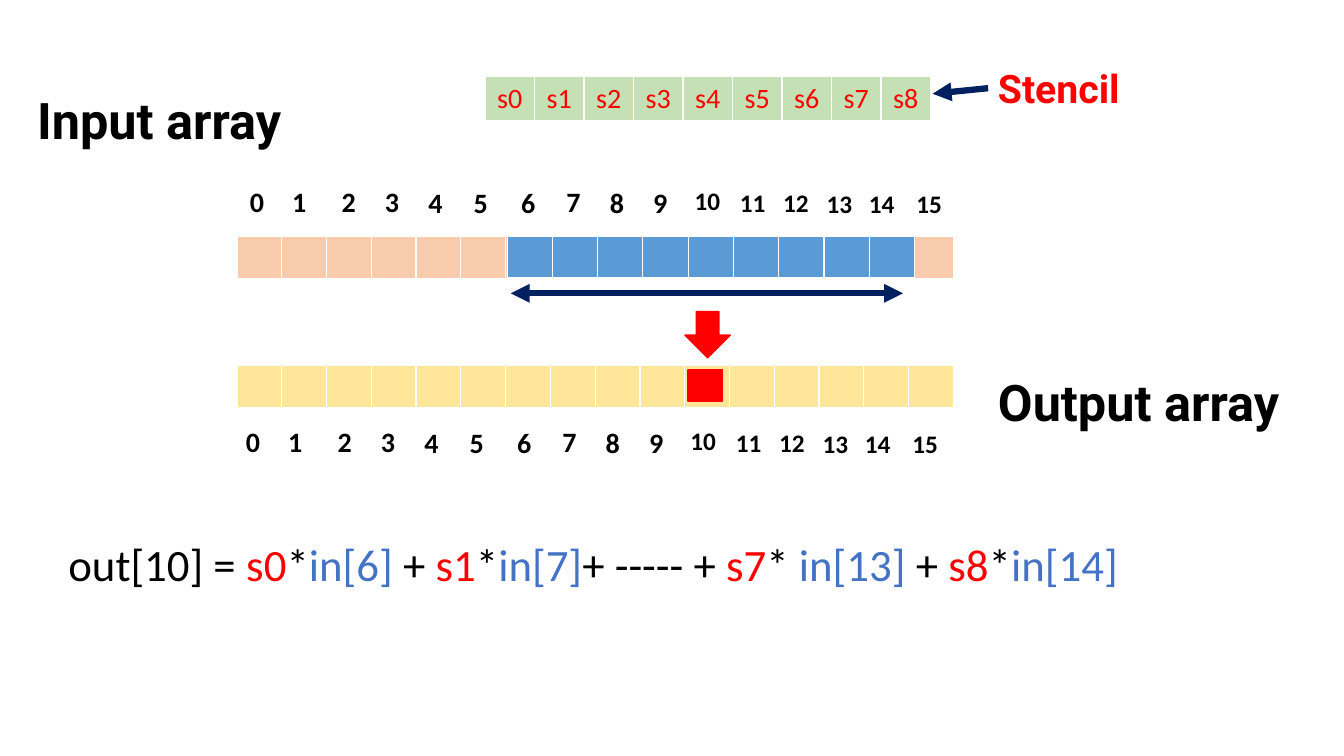
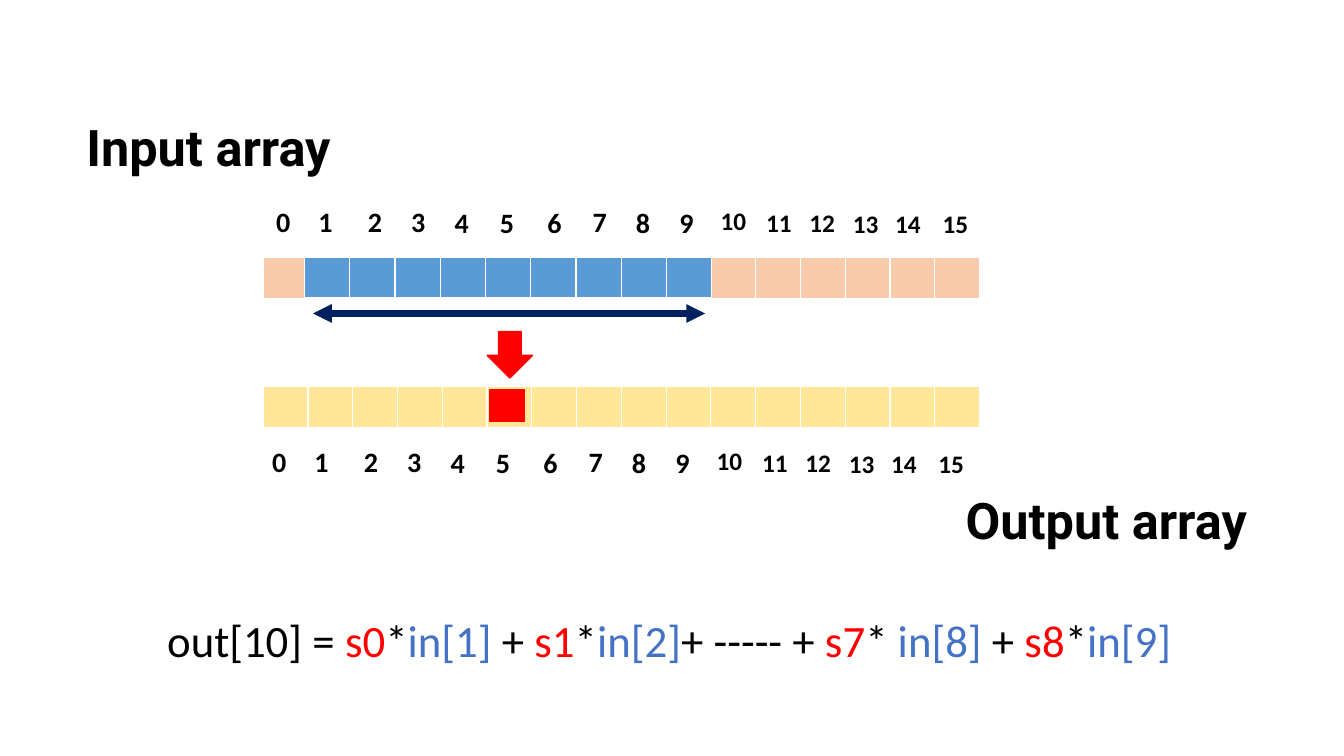
from lxml.etree import SubElement
from pptx import Presentation
from pptx.dml.color import RGBColor
from pptx.enum.shapes import MSO_CONNECTOR, MSO_SHAPE
from pptx.enum.text import MSO_ANCHOR, MSO_AUTO_SIZE, PP_ALIGN
from pptx.oxml.ns import qn
from pptx.util import Inches, Pt

BLACK = RGBColor(0x00, 0x00, 0x00)
RED = RGBColor(0xFF, 0x00, 0x00)
BLUE = RGBColor(0x44, 0x72, 0xC4)
NAVY = RGBColor(0x00, 0x20, 0x60)
INPUT_FILL = RGBColor(0xF8, 0xCB, 0xAD)
OUTPUT_FILL = RGBColor(0xFF, 0xE6, 0x99)
WINDOW_FILL = RGBColor(0x5B, 0x9B, 0xD5)
STENCIL_FILL = RGBColor(0xC5, 0xE0, 0xB4)

HEADING_FONT = "Roboto"
BODY_FONT = "Calibri"

ARRAY_SIZE = 16
STENCIL_SIZE = 9
ARRAY_WIDTH = 7.11
CELL_WIDTH = ARRAY_WIDTH / ARRAY_SIZE
OUTPUT_DROP = 1.28  # from the input row to the output row

# Left and top of each index label, measured from the first label's row
INDEX_LEFTS = [0.03, 0.45, 0.94, 1.37, 1.8, 2.25, 2.72, 3.17,
               3.6, 4.03, 4.44, 4.89, 5.32, 5.75, 6.17, 6.64]
INDEX_DROPS = [0, 0, 0, 0, 0.01, 0.01, 0.01, 0,
               0.01, 0.01, 0.01, 0.03, 0.03, 0.04, 0.04, 0.04]


class StencilDeck:
    """Holds the shared style and the slide being drawn."""

    def __init__(self):
        self.deck = Presentation()
        self.deck.slide_width = Inches(13.33)
        self.deck.slide_height = Inches(7.5)
        self.page = None

    def add_page(self):
        self.page = self.deck.slides.add_slide(self.deck.slide_layouts[6])

    def style(self, span, size, color, font=BODY_FONT, bold=False):
        span.font.name = font
        span.font.size = Pt(size)
        span.font.bold = bold
        span.font.color.rgb = color

    def text(self, left, top, width, height, spans, size, font=BODY_FONT, bold=False):
        box = self.page.shapes.add_textbox(
            Inches(left), Inches(top), Inches(width), Inches(height))
        box.text_frame.word_wrap = True
        box.text_frame.auto_size = MSO_AUTO_SIZE.SHAPE_TO_FIT_TEXT
        para = box.text_frame.paragraphs[0]
        for words, color in spans:
            span = para.add_run()
            span.text = words
            self.style(span, size, color, font, bold)
        return box

    def heading(self, left, top, words, width=3.4, height=0.71, size=36, color=BLACK):
        return self.text(left, top, width, height, [(words, color)],
                         size, HEADING_FONT, True)

    def cells(self, left, top, width, height, count, fill, labels=()):
        table = self.page.shapes.add_table(
            1, count, Inches(left), Inches(top), Inches(width), Inches(height)).table
        table.horz_banding = False
        for column in table.columns:
            column.width = Inches(width / count)
        for cell in table.rows[0].cells:
            cell.fill.solid()
            cell.fill.fore_color.rgb = fill
        for cell, label in zip(table.rows[0].cells, labels):
            cell.vertical_anchor = MSO_ANCHOR.MIDDLE
            para = cell.text_frame.paragraphs[0]
            para.alignment = PP_ALIGN.CENTER
            span = para.add_run()
            span.text = label
            self.style(span, 20, RED)

    def indices(self, left, top):
        for index, (offset, drop) in enumerate(zip(INDEX_LEFTS, INDEX_DROPS)):
            width, height, size = (0.43, 0.44, 20) if index < 10 else (0.5, 0.4, 18)
            self.text(left + offset, top + drop, width, height,
                      [(str(index), BLACK)], size, bold=True)

    def arrow(self, start, end, both_ends=False):
        line = self.page.shapes.add_connector(
            MSO_CONNECTOR.STRAIGHT, *[Inches(value) for value in start + end])
        line.line.color.rgb = NAVY
        line.line.width = Pt(4.5)
        outline = line.line._get_or_add_ln()
        for tag in ("a:headEnd", "a:tailEnd") if both_ends else ("a:tailEnd",):
            SubElement(outline, qn(tag), type="triangle")
        SubElement(line._element.spPr, qn("a:effectLst"))
        return line

    def red_shape(self, kind, left, top, width, height):
        shape = self.page.shapes.add_shape(
            kind, Inches(left), Inches(top), Inches(width), Inches(height))
        shape.shadow.inherit = False
        shape.fill.solid()
        shape.fill.fore_color.rgb = RED
        shape.line.color.rgb = RED
        shape.line.width = Pt(1)

    def arrays(self, left, top, first, window_left):
        """Input and output rows, with a window that starts at cell `first`."""
        output_top = top + OUTPUT_DROP
        for row_top, fill in ((top, INPUT_FILL), (output_top, OUTPUT_FILL)):
            self.cells(left, row_top, ARRAY_WIDTH, 0.41, ARRAY_SIZE, fill)
        self.cells(window_left, top, 4.04, 0.4, STENCIL_SIZE, WINDOW_FILL)
        self.indices(left, top - 0.57)
        self.indices(left - 0.04, output_top + 0.53)

        # Span of the window, then its result
        span_left = left + first * CELL_WIDTH + 0.05
        span_top = top + 0.56
        self.arrow((span_left, span_top), (span_left + 3.89, span_top), both_ends=True)
        result_left = left + (first + STENCIL_SIZE // 2) * CELL_WIDTH
        self.red_shape(MSO_SHAPE.DOWN_ARROW, result_left, top + 0.74, 0.45, 0.46)
        self.red_shape(MSO_SHAPE.RECTANGLE, result_left + 0.03, output_top + 0.04, 0.34, 0.31)

    def formula(self, left, top, width, first):
        spans = [("out[10] = ", BLACK)]
        for weight, times, link in ((0, "*", " + "), (1, "*", "+ ----- + "),
                                    (7, "* ", " + "), (8, "*", "")):
            spans += [(f"s{weight}", RED), (times, BLACK), (f"in[{first + weight}]", BLUE)]
            if link:
                spans.append((link, BLACK))
        self.text(left, top, width, 0.64, spans, 32)

    def stencil(self):
        labels = [f"s{weight}" for weight in range(STENCIL_SIZE)]
        self.cells(4.81, 0.76, 4.42, 0.43, STENCIL_SIZE, STENCIL_FILL, labels)
        name = self.heading(9.8, 0.59, "Stencil", 3.14, 0.57, 28, RED)
        self.arrow((9.8, 0.88), (9.25, 0.93)).begin_connect(name, 1)


def main():
    show = StencilDeck()

    # Result at cell 10, with the stencil itself
    show.add_page()
    show.heading(0.27, 0.83, "Input array")
    show.heading(9.8, 3.63, "Output array")
    show.arrays(2.35, 2.35, first=6, window_left=5.03)
    show.stencil()
    show.formula(0.58, 5.28, 12.47, first=6)

    # Result at cell 5
    show.add_page()
    show.heading(0.76, 1.1, "Input array")
    show.heading(9.48, 4.8, "Output array")
    show.arrays(2.61, 2.55, first=1, window_left=3.02)
    show.formula(1.56, 6.03, 10.33, first=1)

    show.deck.save("out.pptx")


if __name__ == "__main__":
    main()
